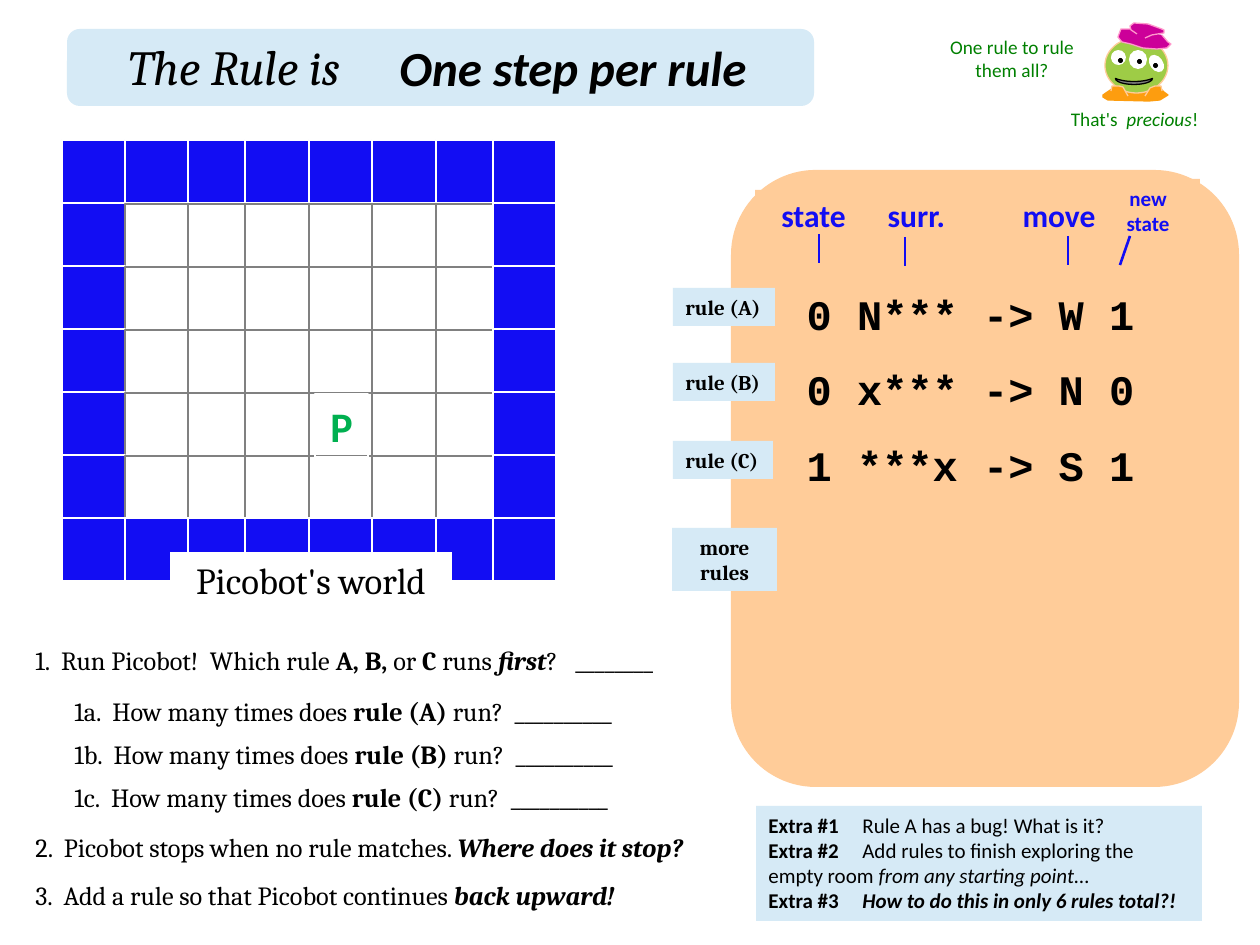
from pptx import Presentation
from pptx.dml.color import RGBColor
from pptx.enum.shapes import MSO_CONNECTOR, MSO_SHAPE
from pptx.enum.text import MSO_ANCHOR, MSO_AUTO_SIZE, PP_ALIGN
from pptx.oxml.ns import qn
from pptx.util import Emu, Pt
from lxml.etree import SubElement

SCALE = 914400 / 126

BLACK = RGBColor(0x00, 0x00, 0x00)
WHITE = RGBColor(0xFF, 0xFF, 0xFF)
GRAY = RGBColor(0x80, 0x80, 0x80)
BLUE = RGBColor(0x12, 0x0D, 0xF3)
PALE = RGBColor(0xD6, 0xEA, 0xF6)
PEACH = RGBColor(0xFF, 0xCC, 0x99)
GREEN = RGBColor(0x00, 0x80, 0x00)
LEAF = RGBColor(0x00, 0xB0, 0x50)
LIME = RGBColor(0x9E, 0xCC, 0x46)
ORANGE = RGBColor(0xFD, 0x9D, 0x0F)
PLUM = RGBColor(0xCC, 0x00, 0x99)
PINK = RGBColor(0xFF, 0x99, 0xCC)


def px(n):
    return Emu(round(n * SCALE))


def write(frame, paras, font="Calibri", size=12, color=BLACK, style="",
          align=PP_ALIGN.LEFT, space=None, tab=None, wrap=True):
    """Fill a frame; a paragraph is a string or a list of (text, style) runs,
    where a style holds b for bold and i for italic."""
    frame.word_wrap = wrap
    frame.auto_size = MSO_AUTO_SIZE.SHAPE_TO_FIT_TEXT
    frame.vertical_anchor = MSO_ANCHOR.TOP
    for n, runs in enumerate(paras):
        para = frame.add_paragraph() if n else frame.paragraphs[0]
        para.alignment = align
        if space:
            para.line_spacing = space
        if tab:
            stops = SubElement(para._p.get_or_add_pPr(), qn("a:tabLst"))
            SubElement(stops, qn("a:tab"), pos=str(px(tab)), algn="l")
        for text, mark in [(runs, style)] if isinstance(runs, str) else runs:
            run = para.add_run()
            run.text = text
            run.font.name = font
            run.font.size = Pt(size)
            run.font.color.rgb = color
            run.font.bold = "b" in mark
            run.font.italic = "i" in mark


class Page:
    def __init__(self, slide, line=1.5):
        self.shapes = slide.shapes
        self.line = line

    def paint(self, shape, fill, edge, width):
        shape.shadow.inherit = False
        if fill is None:
            shape.fill.background()
        else:
            shape.fill.solid()
            shape.fill.fore_color.rgb = fill
        if edge is None:
            shape.line.fill.background()
        else:
            shape.line.color.rgb = edge
            shape.line.width = Pt(width or self.line)
        return shape

    def shape(self, box, fill, edge=None, width=None, kind=MSO_SHAPE.RECTANGLE, turn=0):
        item = self.shapes.add_shape(kind, *map(px, box))
        item.rotation = turn
        return self.paint(item, fill, edge, width)

    def label(self, box, fill, paras, edge=None, width=None, **fmt):
        write(self.shape(box, fill, edge, width).text_frame, paras, **fmt)

    def text(self, box, paras, **fmt):
        write(self.shapes.add_textbox(*map(px, box)).text_frame, paras, **fmt)

    def rule(self, x1, y1, x2, y2, color):
        item = self.shapes.add_connector(MSO_CONNECTOR.STRAIGHT, *map(px, (x1, y1, x2, y2)))
        item.line.color.rgb = color
        item.line.width = Pt(self.line)
        SubElement(item._element.spPr, qn("a:effectLst"))

    def patch(self, points, fill, edge, close=True):
        form = self.shapes.build_freeform(*points[0], scale=SCALE)
        form.add_line_segments(points[1:], close=close)
        self.paint(form.convert_to_shape(), fill, edge, 0.75)


def panel(page):
    page.shape((67, 29, 747, 77), PALE, kind=MSO_SHAPE.ROUNDED_RECTANGLE)
    page.shape((731, 170, 508, 617), PEACH, kind=MSO_SHAPE.ROUNDED_RECTANGLE)
    heads = [("state", 755, 190, 117, 50, 18), ("surr.", 859, 190, 115, 50, 18),
             ("move", 998, 190, 122, 50, 18), ("new state", 1096, 179, 104, 63, 12)]
    for name, x, y, w, h, size in heads:
        page.label((x, y, w, h), PEACH, [name], size=size, color=BLUE,
                   style="b", align=PP_ALIGN.CENTER)


def world(page):
    cols = [62, 125, 188, 245, 309, 372, 436, 493, 556]
    rows, side = 7, 63
    for r in range(rows):
        for c, (x, end) in enumerate(zip(cols, cols[1:])):
            wall = r in (0, rows - 1) or c in (0, len(cols) - 2)
            y = 140 + r * side + (0 if wall else 1)
            page.shape((x, y, end - x, side), BLUE if wall else WHITE,
                       WHITE if wall else GRAY)
    page.label((170, 552, 282, 57), WHITE, ["Picobot's world"], font="Cambria",
               size=21, align=PP_ALIGN.CENTER, wrap=False)
    page.label((315, 394, 53, 63), None, ["P"], edge=WHITE, width=0.75, size=24,
               color=LEAF, style="b", align=PP_ALIGN.CENTER)


def rules(page):
    page.text((771, 257, 399, 318), ["0 N*** -> W 1", "0 x*** -> N 0", "1 ***x -> S 1"],
              font="Courier New", size=24, style="b", align=PP_ALIGN.CENTER, space=1.5)
    for x, y, end in [(819, 234, 819), (905, 237, 905), (1068, 236, 1068), (1130, 236, 1120)]:
        page.rule(x, y, end, y + 29, BLUE)
    for name, y, w in [("A", 288, 102), ("B", 363, 102), ("C", 441, 100)]:
        page.label((673, y, w, 38), PALE, [f"rule ({name})"], font="Cambria",
                   style="b", wrap=False)
    page.label((672, 528, 105, 63), PALE, ["more rules"], font="Cambria",
               style="b", align=PP_ALIGN.CENTER)


def tasks(page):
    fmt = dict(font="Cambria", size=15)
    page.text((23, 638, 750, 44), [[
        ("1.  Run Picobot!  Which rule ", ""), ("A, B, ", "b"), ("or ", ""), ("C", "b"),
        (" runs ", ""), ("first", "bi"), ("?\t________", "")]], tab=540, **fmt)
    for n, name in enumerate("abc"):
        page.text((62, 689 + 43 * n, 643, 44), [[
            (f"1{name}.  How many times does ", ""), (f"rule ({name.upper()}) ", "b"),
            ("run?  __________", "")]], **fmt)
    page.text((23, 825, 747, 44), [[("2.  Picobot stops when no rule matches. ", ""),
                                    ("Where does it stop?", "bi")]], **fmt)
    page.text((23, 873, 683, 44), [[("3.  Add a rule so that Picobot continues ", ""),
                                    ("back upward!", "bi")]], **fmt)
    page.label((756, 806, 446, 115), PALE, [
        [("Extra #1", "b"), ("\tRule A has a bug! What is it?", "")],
        [("Extra #2", "b"), ("\tAdd rules to finish exploring the empty room ", ""),
         ("from any starting point", "i"), ("…", "")],
        [("Extra #3\t", "b"), ("How to do this in only 6 rules total?!", "bi")]], tab=94)


def alien(page):
    oval = MSO_SHAPE.OVAL
    page.patch([(1135, 82), (1148, 83), (1159, 87), (1164, 92), (1168, 95), (1160, 100),
                (1149, 101), (1108, 100), (1103, 97), (1103, 95), (1109, 91), (1115, 87),
                (1120, 84), (1126, 82)], ORANGE, ORANGE)
    page.shape((1105, 38, 63, 55), LIME, PEACH, 0.75, oval)
    for x, y, w, h, turn in [(1111, 50, 15, 15, 327), (1129, 50, 18, 19, 0),
                             (1150, 54, 13, 19, 325)]:
        page.shape((x, y, w, h), WHITE, kind=oval, turn=turn)
    for x, y in [(1118, 58), (1137, 59), (1153, 63)]:
        page.shape((x, y, 5, 5), BLACK, kind=oval)
    page.shape((1131, 63, 6, 37), GRAY, BLACK, 0.75, MSO_SHAPE.MOON, 270)
    page.patch([(1135, 29), (1121, 29), (1118, 37), (1122, 42), (1131, 44), (1143, 48),
                (1157, 49), (1167, 48), (1171, 44), (1168, 42), (1162, 35)], PLUM, PINK, False)
    page.patch([(1137, 34), (1131, 30), (1130, 26), (1134, 23), (1148, 24), (1159, 28),
                (1164, 30), (1164, 33), (1152, 35), (1145, 38)], PLUM, PINK, False)
    page.patch([(1111, 91), (1112, 86), (1119, 86), (1123, 87), (1128, 96)],
               ORANGE, PEACH, False)
    page.patch([(1162, 91), (1161, 86), (1155, 86), (1150, 88), (1145, 96)],
               ORANGE, PEACH, False)
    fmt = dict(size=11, color=GREEN, align=PP_ALIGN.CENTER)
    page.text((932, 29, 160, 59), ["One rule to rule them all?"], **fmt)
    page.text((1051, 101, 167, 36), [[("That's  ", ""), ("precious", "i"), ("!", "")]], **fmt)


def main():
    deck = Presentation()
    deck.slide_width, deck.slide_height = px(1260), px(945)
    page = Page(deck.slides.add_slide(deck.slide_layouts[6]))
    panel(page)
    world(page)
    rules(page)
    tasks(page)
    alien(page)
    page.text((116, 30, 258, 72), ["The Rule is"], font="Cambria", size=28, style="i", wrap=False)
    page.text((353, 31, 440, 72), ["One step per rule"], size=28, style="bi",
              align=PP_ALIGN.CENTER)
    deck.save("out.pptx")


if __name__ == "__main__":
    main()
